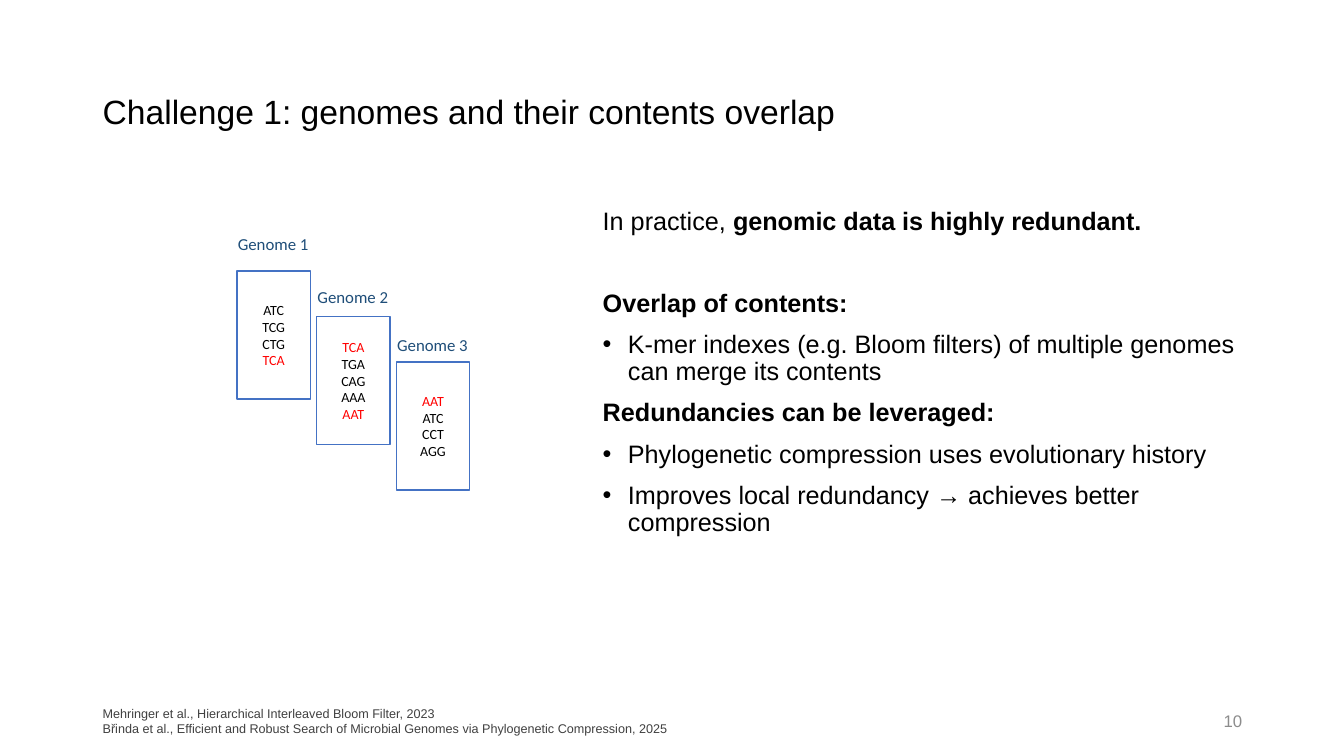
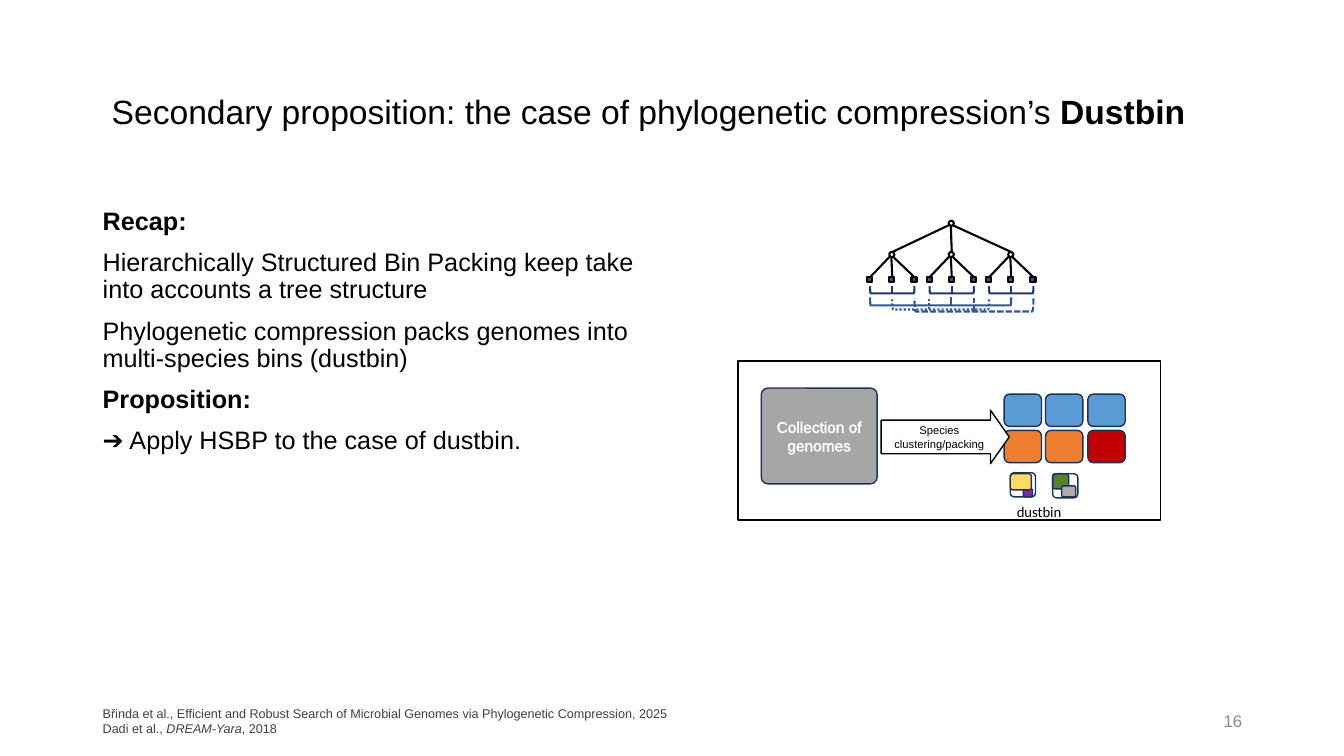
from lxml.etree import SubElement
from pptx import Presentation
from pptx.dml.color import RGBColor
from pptx.enum.dml import MSO_LINE as DASH
from pptx.enum.shapes import MSO_CONNECTOR, MSO_SHAPE as SHAPE
from pptx.enum.text import MSO_ANCHOR as ANCHOR, PP_ALIGN as ALIGN
from pptx.oxml.ns import qn
from pptx.util import Emu, Pt

PX = 9144  # 100 px to the inch


class Theme:
    black, white, red = "000000", "FFFFFF", "FF0000"
    blue, navy, label = "4472C4", "1E3256", "1F4E79"
    bracket, bracket_dark = "2F5597", "203864"
    bin_blue, bin_orange, bin_red = "5B9BD5", "ED7D31", "C00000"
    purple, yellow, green = "7030A0", "FFD966", "548235"
    silver, collection = "AFABAB", "A6A6A6"
    thin, tree = Pt(1), Pt(1.5)

    # Each style: font, size, colour, paragraph format, vertical anchor
    title = ("Arial", 24, black, {"line_spacing": 0.9}, ANCHOR.MIDDLE)
    body = ("Arial", 18, black, {"line_spacing": 0.9, "space_before": Pt(10)}, ANCHOR.TOP)
    sources = ("Arial", 9, "404040", {}, ANCHOR.MIDDLE)
    number = ("Arial", 12, "8C8C8C", {"alignment": ALIGN.RIGHT}, ANCHOR.MIDDLE)
    kmers = ("Calibri", 10, black, {"alignment": ALIGN.CENTER}, ANCHOR.MIDDLE)
    genome = ("Calibri", 12, label, {"alignment": ALIGN.CENTER}, ANCHOR.TOP)
    genomes = ("Arial", 11, white, {"alignment": ALIGN.CENTER}, ANCHOR.MIDDLE)
    step = ("Arial", 8, black, {"alignment": ALIGN.CENTER}, ANCHOR.MIDDLE)
    dustbin = ("Calibri", 10.5, black, {"alignment": ALIGN.CENTER}, ANCHOR.TOP)


def draw(slide, preset, box, fill=None, line=Theme.black, width=Theme.thin):
    """Add a preset shape, or a text box when preset is None."""
    place = [Emu(round(length * PX)) for length in box]
    if preset is None:
        return slide.shapes.add_textbox(*place)
    shape = slide.shapes.add_shape(preset, *place)
    shape.shadow.inherit = False
    if fill:
        shape.fill.solid()
        shape.fill.fore_color.rgb = RGBColor.from_string(fill)
    else:
        shape.fill.background()
    shape.line.color.rgb = RGBColor.from_string(line)
    shape.line.width = width
    return shape


def write(shape, paragraphs, style):
    """Fill a shape with paragraphs, each a list of (text, font changes) runs."""
    name, size, color, layout, anchor = style
    frame = shape.text_frame
    frame.word_wrap = True
    frame.vertical_anchor = anchor
    for index, runs in enumerate(paragraphs):
        paragraph = frame.add_paragraph() if index else frame.paragraphs[0]
        for key, value in layout.items():
            setattr(paragraph, key, value)
        for text, changes in runs:
            run = paragraph.add_run()
            run.text = text
            look = {"name": name, "size": Pt(size), "color": color, **changes}
            run.font.color.rgb = RGBColor.from_string(look.pop("color"))
            for key, value in look.items():
                setattr(run.font, key, value)
    return frame


BOLD, ITALIC, RED = {"bold": True}, {"italic": True}, {"color": Theme.red}
PHYLOGENETIC = [("Břinda et al., Efficient and Robust Search of Microbial Genomes "
                 "via Phylogenetic Compression, 2025", {})]

pages = [
    {
        "title": [("Challenge 1: genomes and their contents overlap", {})],
        "title_left": 92,
        "body_box": (588, 202, 653, 476),
        "body": [
            [("In practice, ", {}), ("genomic data is highly redundant.", BOLD)],
            [("Overlap of contents:", BOLD)],
            [("K-mer indexes (e.g. Bloom filters) of multiple genomes "
              "can merge its contents", {})],
            [("Redundancies can be leveraged:", BOLD)],
            [("Phylogenetic compression uses evolutionary history", {})],
            [("Improves local redundancy → achieves better compression", {})],
        ],
        "bullets": (2, 4, 5),
        "wide_gaps": (1,),
        "sources": [[("Mehringer et al., Hierarchical Interleaved Bloom Filter, 2023", {})],
                    PHYLOGENETIC],
        "number": "10",
    },
    {
        "title": [("Secondary proposition: the case of phylogenetic compression’s ", {}),
                  ("Dustbin", BOLD)],
        "title_left": 101,
        "body_box": (92, 202, 575, 476),
        "body": [
            [("Recap:", BOLD)],
            [("Hierarchically Structured Bin Packing keep take "
              "into accounts a tree structure", {})],
            [("Phylogenetic compression packs genomes into "
              "multi-species bins (dustbin)", {})],
            [("Proposition:", BOLD)],
            [("➔ Apply HSBP to the case of dustbin.", {})],
        ],
        "bullets": (),
        "wide_gaps": (),
        "sources": [PHYLOGENETIC,
                    [("Dadi et al., ", {}), ("DREAM-Yara", ITALIC), (", 2018", {})]],
        "number": "16",
    },
]

deck = Presentation()
deck.slide_width, deck.slide_height = Emu(1333 * PX), Emu(750 * PX)
blank = deck.slide_layouts[6]

# Title, body and footer of both slides
for page in pages:
    slide = deck.slides.add_slide(blank)
    title_box = (page["title_left"], 40, 1150, 145)
    write(draw(slide, None, title_box), [page["title"]], Theme.title)
    body = write(draw(slide, None, page["body_box"]), page["body"], Theme.body)
    for index in page["bullets"]:
        properties = body.paragraphs[index]._p.get_or_add_pPr()
        properties.set("marL", str(25 * PX))
        properties.set("indent", str(-25 * PX))
        SubElement(properties, qn("a:buFont")).set("typeface", "Arial")
        SubElement(properties, qn("a:buChar")).set("char", "•")
    for index in page["wide_gaps"]:
        body.paragraphs[index].space_before = Pt(39)
    write(draw(slide, None, (92, 695, 800, 40)), page["sources"], Theme.sources)
    write(draw(slide, None, (942, 695, 300, 40)), [[(page["number"], {})]], Theme.number)

overlap, proposition = deck.slides

# Three genomes with shared k-mers in red
genome_kmers = [
    (227, ["ATC", "TCG", "CTG", "TCA"], {"TCA"}),
    (280, ["TCA", "TGA", "CAG", "AAA", "AAT"], {"TCA", "AAT"}),
    (327, ["AAT", "ATC", "CCT", "AGG"], {"AAT"}),
]
for index, (label_top, kmers, shared) in enumerate(genome_kmers):
    genome = draw(overlap, SHAPE.RECTANGLE, (235 + 79 * index, 269 + 45 * index, 73, 127),
                  Theme.white, Theme.blue)
    write(genome, [[(kmer, RED if kmer in shared else {})] for kmer in kmers], Theme.kmers)
    label = draw(overlap, None, (218 + 79 * index, label_top, 106, 30))
    write(label, [[(f"Genome {index + 1}", {})]], Theme.genome)

# Species bins, then the two dustbins
bin_rows = [[Theme.bin_blue] * 3, [Theme.bin_orange] * 2 + [Theme.bin_red]]
for row, colors in enumerate(bin_rows):
    for column, color in enumerate(colors):
        draw(proposition, SHAPE.ROUNDED_RECTANGLE,
             (996 + column * 83 // 2, 391 + 36 * row, 37, 32), color, Theme.navy)

dustbin_parts = [
    ((1015, 485, 9, 8), Theme.purple),
    ((1002, 470, 21, 16), Theme.yellow),
    ((1002, 469, 25, 24), None),
    ((1044, 470, 16, 15), Theme.green),
    ((1044, 470, 25, 24), None),
    ((1053, 482, 14, 11), Theme.silver),
]
for box, color in dustbin_parts:
    draw(proposition, SHAPE.ROUNDED_RECTANGLE, box, color, Theme.navy)

collection = draw(proposition, SHAPE.ROUNDED_RECTANGLE, (755, 385, 115, 95),
                  Theme.collection, Theme.navy)
collection.adjustments[0] = 0.07
wording = write(collection, [[("Collection of genomes", {})]], Theme.genomes)
run_properties = wording.paragraphs[0].runs[0].font._element
outline = SubElement(run_properties, qn("a:ln"), w=str(Pt(0.75)))
SubElement(SubElement(outline, qn("a:solidFill")), qn("a:srgbClr"), val=Theme.white)
run_properties.insert(0, outline)

packing = draw(proposition, SHAPE.RIGHT_ARROW, (874, 407, 127, 53), Theme.white)
packing.adjustments[0], packing.adjustments[1] = 0.63, 0.35
write(packing, [[("Species clustering/packing", {})]], Theme.step)
draw(proposition, SHAPE.RECTANGLE, (732, 358, 419, 158))
write(draw(proposition, None, (986, 494, 89, 29)), [[("dustbin", {})]], Theme.dustbin)

# Tree: one root, three branches, three leaves each
ROOT_X, BRANCH_STEP, LEAF_STEP, NODE = 943, 59, 22, 5
branches = [ROOT_X + BRANCH_STEP * side for side in (-1, 0, 1)]
nodes = [(SHAPE.OVAL, ROOT_X, 219, Theme.white)]
strokes = []
for branch in branches:
    side = (branch > ROOT_X) - (branch < ROOT_X)
    nodes.append((SHAPE.OVAL, branch, 250, Theme.white))
    strokes.append((ROOT_X + side, 223, branch + 1, 250, Theme.black, None))
    for turn in (-1, 0, 1):
        leaf = branch + LEAF_STEP * turn
        nodes.append((SHAPE.RECTANGLE, leaf, 275, Theme.bracket))
        strokes.append((branch + turn, 254, leaf + 1, 275, Theme.black, None))

# Brackets below the leaves: left, right, top, depth, middle prong
brackets = [(branch - 21, branch + 23, 284, 7, branch + 1, Theme.bracket_dark, None)
            for branch in branches]
brackets += [
    (863, 1003, 295, 8, 943, Theme.bracket, None),
    (885, 981, 297, 10, 921, Theme.bracket, DASH.ROUND_DOT),
    (907, 1025, 296, 13, 966, Theme.bracket, DASH.SQUARE_DOT),
]
for left, right, top, depth, prong, color, dash in brackets:
    span = right - left
    # Box before the quarter turn, around the same centre
    box = ((left + right - depth) / 2, top + (depth - span) / 2, depth, span)
    bracket = draw(proposition, SHAPE.LEFT_BRACKET, box, None, color, Theme.tree)
    bracket.rotation = 270
    bracket.line.dash_style = dash
    strokes.append((prong, top + depth, prong, top, color, dash))

for *ends, color, dash in strokes:
    stroke = proposition.shapes.add_connector(
        MSO_CONNECTOR.STRAIGHT, *[Emu(end * PX) for end in ends])
    stroke.line.color.rgb = RGBColor.from_string(color)
    stroke.line.width = Theme.tree
    stroke.line.dash_style = dash
    SubElement(stroke._element.spPr, qn("a:effectLst"))

for preset, center, top, fill in nodes:
    draw(proposition, preset, (center - NODE // 2, top, NODE, NODE), fill, width=Theme.tree)

deck.save("out.pptx")
